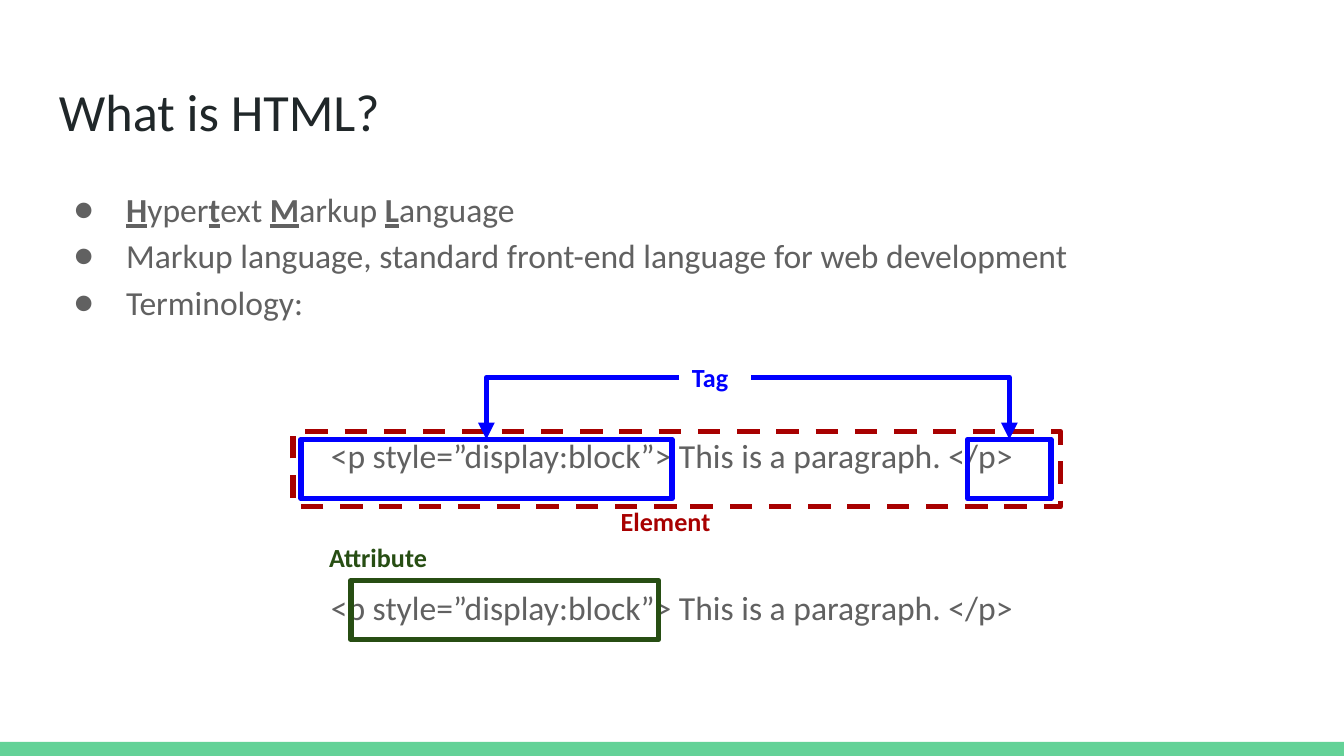
from lxml.etree import SubElement
from pptx import Presentation
from pptx.dml.color import RGBColor
from pptx.enum.dml import MSO_LINE
from pptx.enum.shapes import MSO_CONNECTOR, MSO_SHAPE
from pptx.enum.text import PP_ALIGN
from pptx.oxml.ns import qn
from pptx.util import Inches, Pt

COLORS = {
    "title": "202729",
    "body": "616161",
    "element": "A80000",
    "tag": "0000FF",
    "attribute": "274E13",
    "footer": "63D297",
}
FONT = "Calibri"
CODE = "<p style=”display:block”> This is a paragraph. </p>"
# Each bullet is a list of (text, emphasized) runs.
BULLETS = [
    [("H", True), ("yper", False), ("t", True), ("ext ", False),
     ("M", True), ("arkup ", False), ("L", True), ("anguage", False)],
    [("Markup language, standard front-end language for web development", False)],
    [("Terminology:", False)],
]


def color(name):
    return RGBColor.from_string(COLORS[name])


def add_text(slide, box, paragraphs, *, size, color_name, bold=False,
             align=PP_ALIGN.LEFT, line_spacing=None, bullet=None):
    """Add a text box; each paragraph is a list of (text, emphasized) runs."""
    shape = slide.shapes.add_textbox(*map(Inches, box))
    frame = shape.text_frame
    frame.word_wrap = True
    frame.margin_left = frame.margin_right = Inches(0.1)
    frame.margin_top = frame.margin_bottom = Inches(0.1)
    for index, runs in enumerate(paragraphs):
        paragraph = frame.add_paragraph() if index else frame.paragraphs[0]
        paragraph.alignment = align
        paragraph.line_spacing = line_spacing
        if bullet:
            add_bullet(paragraph, bullet, color_name)
        for text, emphasized in runs:
            run = paragraph.add_run()
            run.text = text
            run.font.name = FONT
            run.font.size = Pt(size)
            run.font.bold = bold or emphasized
            run.font.underline = emphasized
            run.font.color.rgb = color(color_name)
    return shape


def add_bullet(paragraph, character, color_name):
    properties = paragraph._p.get_or_add_pPr()
    properties.set("marL", str(Inches(0.5)))
    properties.set("indent", str(Inches(-0.39)))
    bullet_color = SubElement(properties, qn("a:buClr"))
    SubElement(bullet_color, qn("a:srgbClr"), val=COLORS[color_name])
    SubElement(properties, qn("a:buFont"), typeface=FONT)
    SubElement(properties, qn("a:buChar"), char=character)


def style_line(shape, color_name, dash=None):
    shape.line.color.rgb = color(color_name)
    shape.line.width = Pt(3)
    if dash:
        shape.line.dash_style = dash
    SubElement(shape.line._get_or_add_ln(), qn("a:round"))


def add_rectangle(slide, box):
    shape = slide.shapes.add_shape(MSO_SHAPE.RECTANGLE, *map(Inches, box))
    shape.shadow.inherit = False
    return shape


def add_frame(slide, box, color_name, dash=None):
    """Add an unfilled rectangle that marks a part of the code."""
    shape = add_rectangle(slide, box)
    shape.fill.background()
    style_line(shape, color_name, dash)
    return shape


def add_footer(slide):
    bar = add_rectangle(slide, (0, 5.52, 10, 0.11))
    bar.fill.solid()
    bar.fill.fore_color.rgb = color("footer")
    bar.line.fill.background()


def add_label(slide, box, text, color_name):
    return add_text(slide, box, [[(text, False)]], size=14,
                    color_name=color_name, bold=True)


def add_elbow_arrow(slide, label, side, target):
    """Run an arrow from a side of the label, round one corner, to the target's top."""
    connector = slide.shapes.add_connector(MSO_CONNECTOR.ELBOW, 0, 0, 0, 0)
    connector.begin_connect(label, side)
    connector.end_connect(target, 0)
    style_line(connector, "tag")
    SubElement(connector.line._get_or_add_ln(), qn("a:tailEnd"), type="triangle")
    properties = connector.element.spPr
    properties.find(qn("a:prstGeom")).set("prst", "bentConnector2")
    SubElement(properties, qn("a:effectLst"))


def main():
    presentation = Presentation()
    presentation.slide_width = Inches(10)
    presentation.slide_height = presentation.slide_width * 9 // 16
    slide = presentation.slides.add_slide(presentation.slide_layouts[6])

    add_footer(slide)
    add_text(slide, (0.34, 0.49, 9.32, 0.63), [[("What is HTML?", False)]],
             size=28, color_name="title")
    add_text(slide, (0.34, 1.26, 9.32, 1.25), BULLETS, size=18,
             color_name="body", line_spacing=1.15, bullet="●")
    for top in (3.09, 4.22):
        add_text(slide, (0.34, top, 9.32, 0.55), [[(CODE, False)]], size=18,
                 color_name="body", line_spacing=1.15, align=PP_ALIGN.CENTER)

    add_frame(slide, (2.18, 3.21, 5.71, 0.56), "element", MSO_LINE.DASH)
    add_label(slide, (4.52, 3.66, 0.96, 0.44), "Element", "element")

    opening_tag = add_frame(slide, (2.24, 3.27, 2.76, 0.44), "tag")
    closing_tag = add_frame(slide, (7.2, 3.27, 0.62, 0.44), "tag")
    tag_label = add_label(slide, (5.05, 2.59, 0.54, 0.44), "Tag", "tag")
    add_elbow_arrow(slide, tag_label, 1, opening_tag)
    add_elbow_arrow(slide, tag_label, 3, closing_tag)

    add_label(slide, (2.35, 3.93, 1.07, 0.44), "Attribute", "attribute")
    add_frame(slide, (2.61, 4.32, 2.29, 0.44), "attribute")

    presentation.save("out.pptx")


if __name__ == "__main__":
    main()
